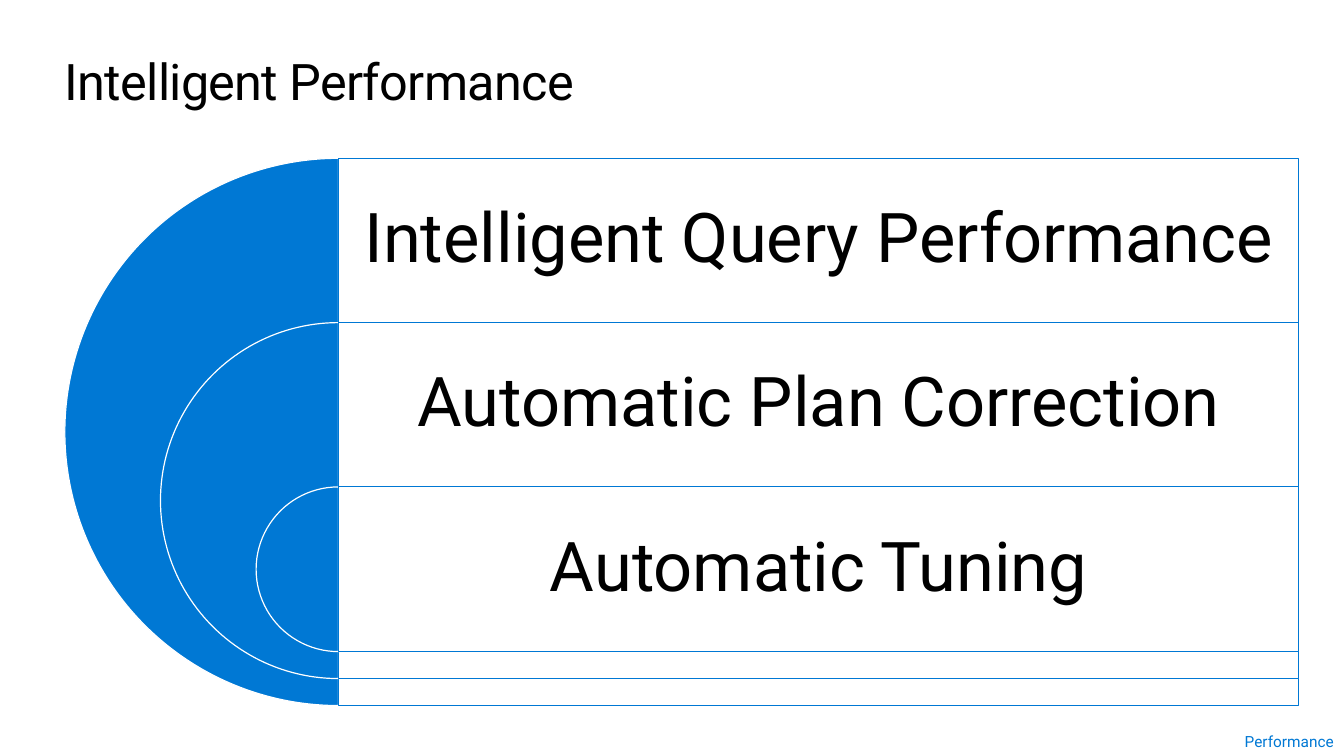
from lxml.etree import SubElement
from pptx import Presentation
from pptx.dml.color import RGBColor
from pptx.enum.shapes import MSO_SHAPE
from pptx.enum.text import MSO_ANCHOR, MSO_AUTO_SIZE, PP_ALIGN
from pptx.oxml.ns import qn
from pptx.util import Cm, Pt

COLORS = {"blue": "0078D4", "white": "FFFFFF", "black": "000000"}
FONT = "Roboto"
TOPICS = ["Intelligent Query Performance", "Automatic Plan Correction", "Automatic Tuning"]


def style_shape(shape, fill, line):
    shape.shadow.inherit = False
    shape.fill.solid()
    shape.fill.fore_color.rgb = RGBColor.from_string(COLORS[fill])
    shape.line.color.rgb = RGBColor.from_string(COLORS[line])
    shape.line.width = Pt(0.85)


def write_text(box, text, size, color, align, insets, anchor=MSO_ANCHOR.TOP):
    frame = box.text_frame
    frame.word_wrap = True
    frame.vertical_anchor = anchor
    frame.margin_left = frame.margin_right = Cm(insets[0])
    frame.margin_top = frame.margin_bottom = Cm(insets[1])
    frame.text = text
    para = frame.paragraphs[0]
    para.alignment = align
    span = para.runs[0]
    span.font.size = Pt(size)
    span.font.name = FONT
    span.font.color.rgb = RGBColor.from_string(COLORS[color])
    return para


deck = Presentation()
deck.slide_width = Cm(33.87)
deck.slide_height = Cm(19.05)
page = deck.slides.add_slide(deck.slide_layouts[5])

# Title
title = page.shapes.title
title.left, title.top, title.width, title.height = Cm(1.63), Cm(1.27), Cm(30.61), Cm(1.55)
title_para = write_text(title, "Intelligent Performance", 36, "black", PP_ALIGN.LEFT, (0, 0))
title.text_frame.auto_size = MSO_AUTO_SIZE.SHAPE_TO_FIT_TEXT
title_para.runs[0].font._element.set("spc", "-50")

# Nested half circles, each with a panel and a topic
center_x, first_top, row_height = 8.53, 3.99, 4.14
panel_width, outer_size, size_step = 24.2, 13.79, 4.82
diagram = page.shapes.add_group_shape()
for row, topic in enumerate(TOPICS):
    top = Cm(first_top + row * row_height)
    size = outer_size - row * size_step

    half_circle = diagram.shapes.add_shape(
        MSO_SHAPE.PIE, Cm(center_x - size / 2), top, Cm(size), Cm(size))
    half_circle.adjustments[0] = 54
    half_circle.adjustments[1] = 162
    style_shape(half_circle, "blue", "white")

    panel = diagram.shapes.add_shape(
        MSO_SHAPE.RECTANGLE, Cm(center_x), top, Cm(panel_width), Cm(size))
    style_shape(panel, "white", "blue")
    panel_color = panel.fill._xPr.find(qn("a:solidFill"))[0]
    SubElement(panel_color, qn("a:alpha"), val="90000")

    label = diagram.shapes.add_textbox(Cm(center_x), top, Cm(panel_width), Cm(row_height))
    label_para = write_text(label, topic, 49, "black", PP_ALIGN.CENTER, (0.5, 0.5), MSO_ANCHOR.MIDDLE)
    label_para.line_spacing = 0.9

# Section name in the bottom corner
section = page.shapes.add_textbox(Cm(12.17), Cm(18.31), Cm(21.7), Cm(0.74))
write_text(section, "Performance", 11, "blue", PP_ALIGN.RIGHT, (0.25, 0.13))
section.text_frame.auto_size = MSO_AUTO_SIZE.SHAPE_TO_FIT_TEXT

deck.save("out.pptx")
